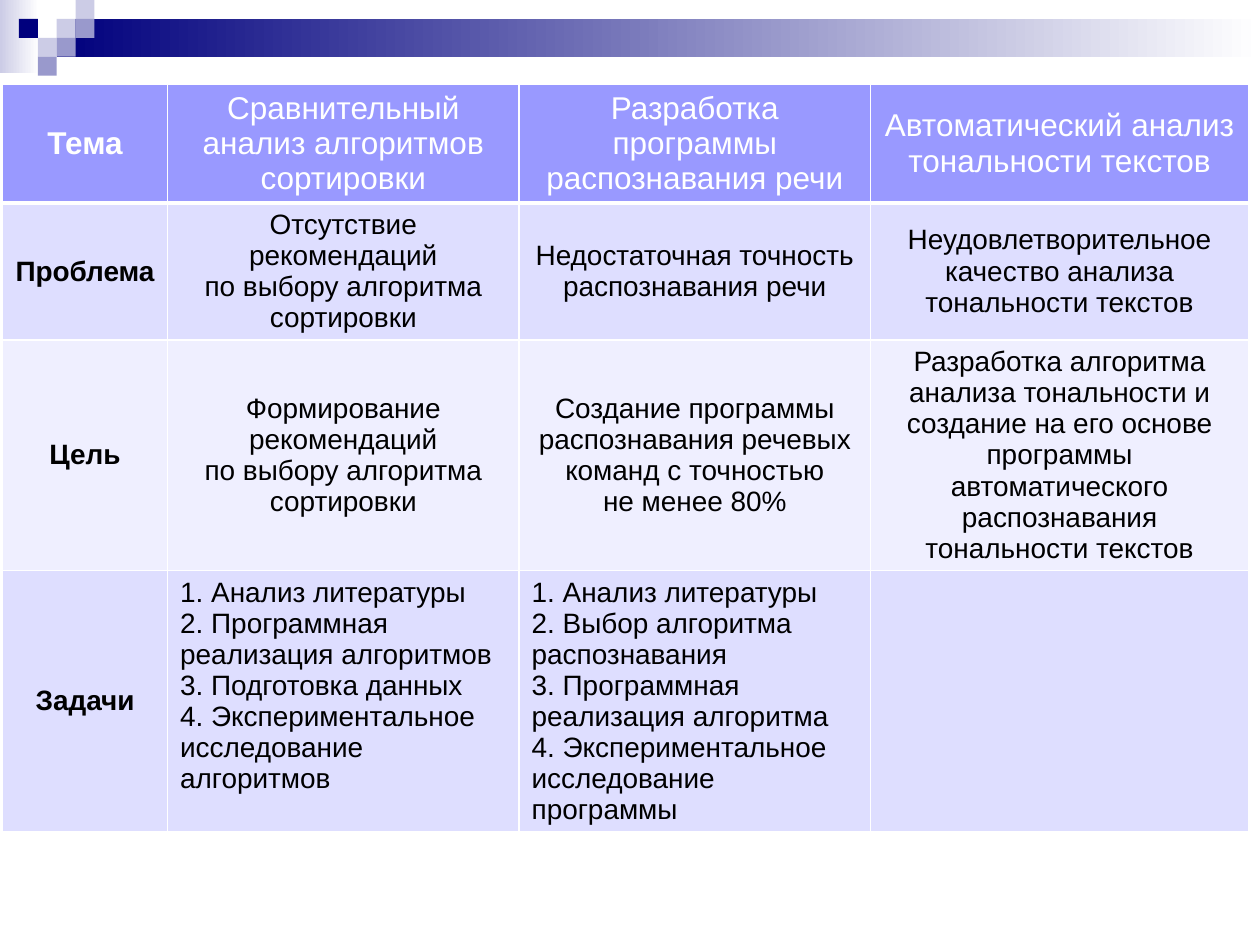
from lxml.etree import SubElement
from pptx import Presentation
from pptx.dml.color import RGBColor
from pptx.enum.shapes import MSO_SHAPE
from pptx.enum.text import MSO_ANCHOR, PP_ALIGN
from pptx.oxml.ns import qn
from pptx.util import Inches, Pt


def rgb(color):
    return RGBColor.from_string(color)


def write(cell, text, size=16, color="000000", bold=False,
          align=PP_ALIGN.CENTER, anchor=MSO_ANCHOR.MIDDLE):
    """Each line of text is a paragraph; a vertical tab is a line break."""
    cell.text = text
    cell.vertical_anchor = anchor
    for paragraph in cell.text_frame.paragraphs:
        paragraph.alignment = align
        for run in paragraph.runs:
            run.font.name = "Arial"
            run.font.size = Pt(size)
            run.font.bold = bold
            run.font.color.rgb = rgb(color)
        for line_break in paragraph._p.findall(qn("a:br")):
            SubElement(line_break, qn("a:rPr"), sz=str(size * 100))


prs = Presentation()
prs.slide_width, prs.slide_height = Inches(10), Inches(7.5)
slide = prs.slides.add_slide(prs.slide_layouts[6])

# Header decoration: two fading bands, then squares on a grid
NAVY, LILAC, VIOLET, WHITE = "00007D", "CCCCE6", "9999CC", "FFFFFF"
UNIT = 0.15
decoration = [
    (0, 0, 0.31, 0.58, [LILAC, WHITE]),
    (0.45, 0.15, 9.55, 0.3, [NAVY, WHITE]),
]
squares = [(3, 1, LILAC), (4, 0, LILAC), (4, 1, VIOLET), (2, 2, LILAC),
           (1, 1, NAVY), (3, 2, VIOLET), (2, 3, VIOLET)]
decoration += [(column * UNIT, row * UNIT, UNIT, UNIT, [color])
               for column, row, color in squares]

for left, top, width, height, colors in decoration:
    block = slide.shapes.add_shape(MSO_SHAPE.RECTANGLE, Inches(left), Inches(top),
                                   Inches(width), Inches(height))
    block.shadow.inherit = False
    block.line.fill.background()
    if len(colors) == 1:
        block.fill.solid()
        block.fill.fore_color.rgb = rgb(colors[0])
    else:
        block.fill.gradient()
        block.fill.gradient_angle = 0
        for stop, color in zip(block.fill.gradient_stops, colors):
            stop.color.rgb = rgb(color)

# Table content
projects = [
    ["Тема",
     "Сравнительный анализ алгоритмов сортировки",
     "Разработка программы распознавания речи",
     "Автоматический анализ тональности текстов"],
    ["Проблема",
     "Отсутствие рекомендаций\vпо выбору алгоритма сортировки",
     "Недостаточная точность распознавания речи",
     "Неудовлетворительное качество анализа тональности текстов"],
    ["Цель",
     "Формирование рекомендаций\vпо выбору алгоритма сортировки",
     "Создание программы распознавания речевых команд с точностью\vне менее 80%",
     "Разработка алгоритма анализа тональности и создание на его основе "
     "программы автоматического распознавания тональности текстов"],
    ["Задачи",
     "1. Анализ литературы\n2. Программная реализация алгоритмов\n"
     "3. Подготовка данных\n4. Экспериментальное исследование алгоритмов",
     "1. Анализ литературы\n2. Выбор алгоритма распознавания\n"
     "3. Программная реализация алгоритма\n"
     "4. Экспериментальное исследование программы",
     ""],
]
column_widths = [1.31, 2.79, 2.79, 3]
row_heights = [0.94, 1.08, 1.83, 2.07]
row_fills = ["9999FF", "DEDEFF", "EFEFFF", "DEDEFF"]

table = slide.shapes.add_table(
    len(row_heights), len(column_widths), Inches(0.02), Inches(0.67),
    Inches(sum(column_widths)), Inches(sum(row_heights))).table
for column, width in zip(table.columns, column_widths):
    column.width = Inches(width)
for row, height in zip(table.rows, row_heights):
    row.height = Inches(height)

for r, texts in enumerate(projects):
    for c, text in enumerate(texts):
        cell = table.cell(r, c)
        is_header = r == 0
        is_task_list = r == 3 and c > 0
        write(cell, text, bold=c == 0,
              size=18 if is_header else 16,
              color=WHITE if is_header else "000000",
              align=PP_ALIGN.LEFT if is_task_list else PP_ALIGN.CENTER,
              anchor=MSO_ANCHOR.TOP if is_task_list else MSO_ANCHOR.MIDDLE)

        # White borders, thicker under the header; they precede the fill
        properties = cell._tc.get_or_add_tcPr()
        for side in ("lnL", "lnR", "lnT", "lnB"):
            under_header = (r, side) in ((0, "lnB"), (1, "lnT"))
            border = SubElement(properties, qn(f"a:{side}"),
                                w=str(Pt(3 if under_header else 1)))
            paint = SubElement(border, qn("a:solidFill"))
            SubElement(paint, qn("a:srgbClr"), val=WHITE)
        cell.fill.solid()
        cell.fill.fore_color.rgb = rgb(row_fills[r])

prs.save("out.pptx")
